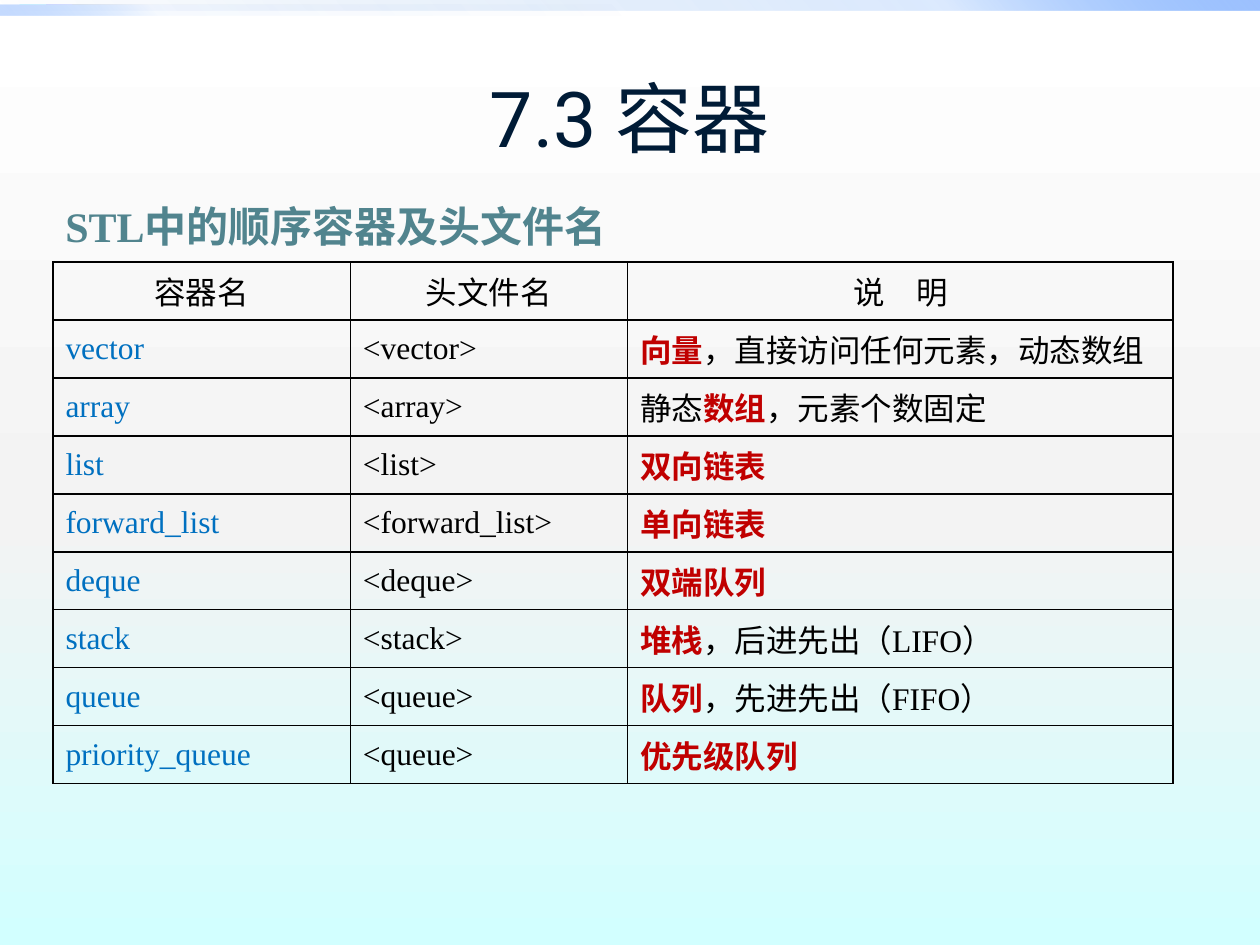
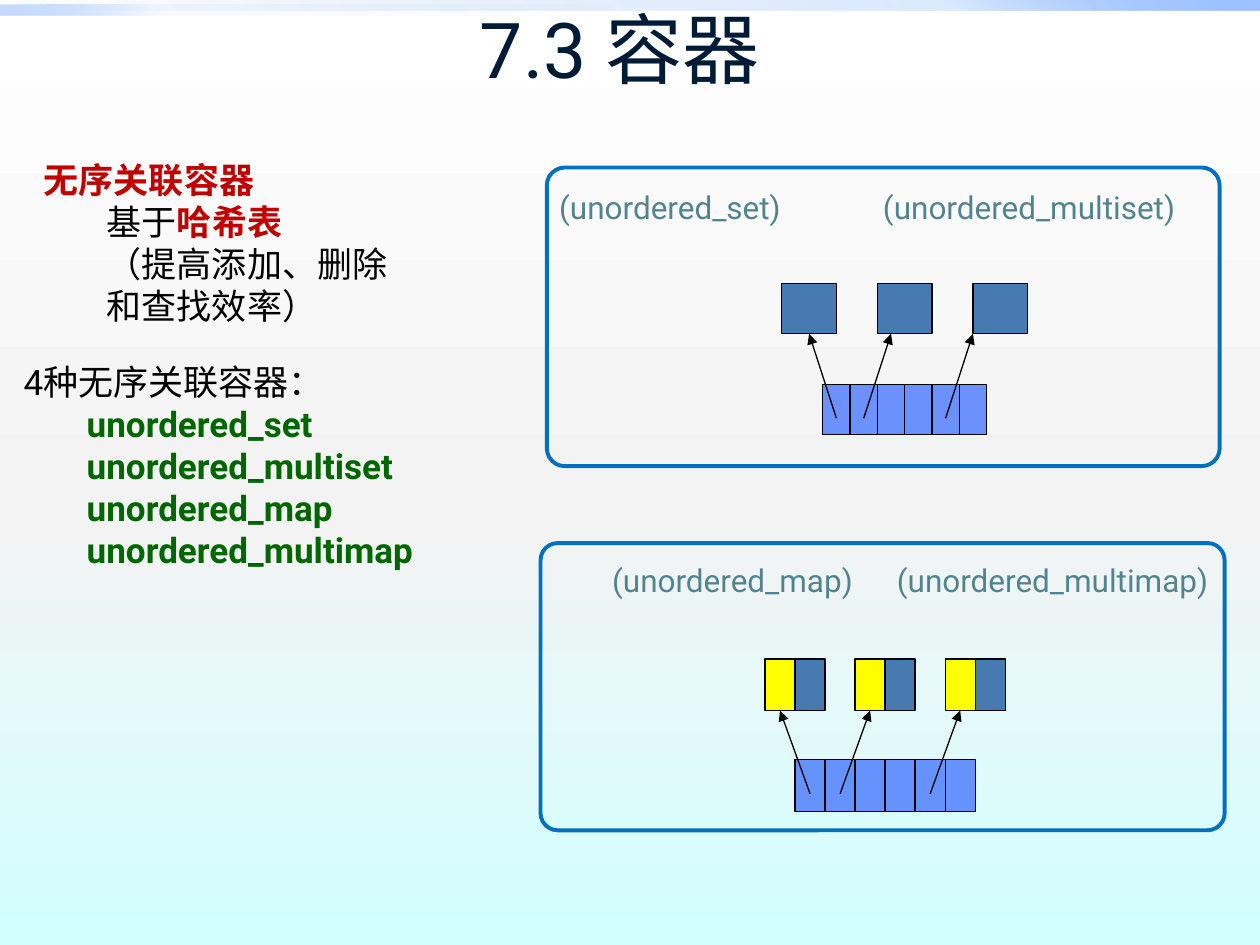
from lxml import etree
from pptx import Presentation
from pptx.dml.color import RGBColor
from pptx.enum import shapes, text
from pptx.oxml.ns import qn
from pptx.util import Inches, Pt

ROBOTO, TIMES = "Roboto", "Times New Roman"
BLACK, NAVY, TEAL = "000000", "001B36", "51848E"
RED, GREEN, BLUE = "C00000", "006600", "0070C0"
BUCKET, VALUE, KEY = "3366FF", "477AB1", "FFFF00"

# Gradient stops: position, colour, opacity in percent
BACKGROUND = [(0, "FFFFFF", 100), (55, "F3F3F3", 100), (100, "D2FFFF", 100)]
TOP_BAND = [(0, "0058B7", 0), (75, "4F95FF", 20), (100, "9EC2FF", 100)]
LEFT_BAND = [(0, "0058B7", 0), (75, "4F95FF", 5), (100, "9EC2FF", 60)]

CONTAINERS = [
    ("vector", "<vector>", [("向量", RED, True), ("，直接访问任何元素，动态数组", BLACK, False)]),
    ("array", "<array>", [("静态", BLACK, False), ("数组", RED, True),
                          ("，元素个数固定", BLACK, False)]),
    ("list", "<list>", [("双向链表", RED, True)]),
    ("forward_list", "<forward_list>", [("单向链表", RED, True)]),
    ("deque", "<deque>", [("双端队列", RED, True)]),
    ("stack", "<stack>", [("堆栈", RED, True), ("，后进先出（LIFO）", BLACK, False)]),
    ("queue", "<queue>", [("队列", RED, True), ("，先进先出（FIFO）", BLACK, False)]),
    ("priority_queue", "<queue>", [("优先级队列", RED, True)]),
]


def rgb(color):
    return RGBColor.from_string(color)


def sub(parent, tag, **attrs):
    return etree.SubElement(parent, qn(tag), **attrs)


def set_alpha(color_element, percent):
    if percent < 100:
        sub(color_element, "a:alpha", val=str(percent * 1000))


def set_gradient(fill, owner, stops, angle):
    """Fill with stops running clockwise at the given angle."""
    fill.gradient()
    fill.gradient_angle = 360 - angle
    stop_list = owner.find(".//" + qn("a:gsLst"))
    for old in list(stop_list):
        stop_list.remove(old)
    for position, color, alpha in stops:
        stop = sub(stop_list, "a:gs", pos=str(position * 1000))
        set_alpha(sub(stop, "a:srgbClr", val=color), alpha)


def add_runs(p, runs, size, font):
    for words, color, bold in runs:
        r = p.add_run()
        r.text = words
        r.font.size, r.font.name, r.font.bold = Pt(size), font, bold
        r.font.color.rgb = rgb(color)


def add_text(s, box, paragraphs, size, font=ROBOTO, align=None,
             anchor=text.MSO_ANCHOR.TOP, bottom=0.05, indent=0):
    """Add a text box; every paragraph after the first takes the indent."""
    tf = s.shapes.add_textbox(*map(Inches, box)).text_frame
    tf.word_wrap = True
    tf.vertical_anchor = anchor
    tf.margin_bottom = Inches(bottom)
    for i, runs in enumerate(paragraphs):
        p = tf.add_paragraph() if i else tf.paragraphs[0]
        if i and indent:
            p._p.get_or_add_pPr().set("marL", str(Inches(indent)))
        if align is not None:
            p.alignment = align
        add_runs(p, runs, size, font)


def add_box(s, box, fill=None, alpha=100, line=BLACK, width=0.75,
            kind=shapes.MSO_SHAPE.RECTANGLE):
    sp = s.shapes.add_shape(kind, *map(Inches, box))
    sp.shadow.inherit = False
    if fill:
        sp.fill.solid()
        sp.fill.fore_color.rgb = rgb(fill)
        set_alpha(sp.fill._xPr.find(".//" + qn("a:srgbClr")), alpha)
    else:
        sp.fill.background()
    if line:
        sp.line.color.rgb = rgb(line)
        sp.line.width = Pt(width)
    else:
        sp.line.fill.background()
    return sp


def add_arrow(s, x1, y1, x2, y2):
    cx = s.shapes.add_connector(shapes.MSO_CONNECTOR.STRAIGHT,
                                *map(Inches, (x1, y1, x2, y2)))
    cx.line.color.rgb = rgb(BLACK)
    cx.line.width = Pt(0.75)
    sub(cx.line._get_or_add_ln(), "a:tailEnd", type="triangle")
    sub(cx._element.spPr, "a:effectLst")


def add_slide(prs, title_box):
    """Shared frame: background, top bands and title."""
    s = prs.slides.add_slide(prs.slide_layouts[6])
    set_gradient(s.background.fill, s.element, BACKGROUND, 90)
    for box, stops, angle in (((0, 0, 10, 0.08), TOP_BAND, 315),
                              ((0, 0.04, 5, 0.08), LEFT_BAND, 135)):
        band = add_box(s, box, line=None)
        set_gradient(band.fill, band._element, stops, angle)
    add_text(s, title_box, [[("7.3 容器", NAVY, False)]], 44,
             align=text.PP_ALIGN.CENTER, anchor=text.MSO_ANCHOR.MIDDLE)
    return s


def add_container_table(s, left, top, widths, row_height):
    header = [[(name, BLACK, False)] for name in ("容器名", "头文件名", "说\u3000明")]
    rows = [header] + [[[(name, BLUE, False)], [(include, BLACK, False)], note]
                       for name, include, note in CONTAINERS]
    table = s.shapes.add_table(
        len(rows), len(widths), Inches(left), Inches(top),
        Inches(sum(widths)), Inches(row_height * len(rows))).table
    table.first_row = table.horz_banding = False
    for column, width in zip(table.columns, widths):
        column.width = Inches(width)
    for i, row in enumerate(rows):
        for j, runs in enumerate(row):
            cell = table.cell(i, j)
            for side in ("a:lnL", "a:lnR", "a:lnT", "a:lnB"):
                ln = sub(cell._tc.get_or_add_tcPr(), side, w=str(Pt(1)))
                sub(sub(ln, "a:solidFill"), "a:srgbClr", val=BLACK)
            cell.fill.background()
            cell.vertical_anchor = text.MSO_ANCHOR.MIDDLE
            p = cell.text_frame.paragraphs[0]
            if i == 0:
                p.alignment = text.PP_ALIGN.CENTER
            add_runs(p, runs, 18, TIMES)


def add_hash_panel(s, box, labels, strip_x, cell_w, cell_h, node_parts, node_gap):
    """Hash table panel: a strip of six buckets pointing to three nodes."""
    left, top = box[:2]
    frame = add_box(s, box, line=BLUE, width=2.25,
                    kind=shapes.MSO_SHAPE.ROUNDED_RECTANGLE)
    frame.adjustments[0] = 0.06
    for words, dx, dy, width in labels:
        add_text(s, (left + dx, top + dy, width, 0.4), [[(words, TEAL, False)]], 18)

    # Buckets
    strip_left, strip_top, node_top = left + strip_x, top + 1.72, top + 0.92
    for i in range(6):
        add_box(s, (strip_left + i * cell_w, strip_top, cell_w, cell_h), BUCKET, 70)

    # Nodes, two buckets wide and centred over the strip
    pitch = (2 + node_gap) * cell_w
    node_left = strip_left + 2 * cell_w - pitch
    part_w = 2 * cell_w / len(node_parts)
    for i in range(3):
        for j, color in enumerate(node_parts):
            add_box(s, (node_left + i * pitch + j * part_w, node_top, part_w, cell_h),
                    color)

    # Arrows lean one bucket to the side
    for bucket, lean in ((0, -1), (1, 1), (4, 1)):
        x = strip_left + (bucket + 0.5) * cell_w
        add_arrow(s, x, strip_top + 0.27, x + lean * cell_w, node_top + cell_h)


def sequence_slide(prs):
    s = add_slide(prs, (0.5, 0.3, 9, 1.25))
    add_container_table(s, 0.42, 2.08, (2.36, 2.2, 4.33), 0.46)
    add_text(s, (0.42, 1.3, 9.14, 0.79), [[("STL中的顺序容器及头文件名", TEAL, True)]], 24,
             TIMES, anchor=text.MSO_ANCHOR.BOTTOM, bottom=0.1)


def unordered_slide(prs):
    s = add_slide(prs, (0.42, -0.25, 9, 1.25))
    add_hash_panel(s, (4.29, 4.31, 5.43, 2.28),
                   [("(unordered_map)", 0.47, 0.09, 2.38),
                    ("(unordered_multimap)", 2.73, 0.09, 2.9)],
                   2.02, 1.43 / 6, 0.41, (KEY, VALUE), 1)
    add_hash_panel(s, (4.34, 1.33, 5.34, 2.37),
                   [("(unordered_set)", 0, 0.11, 2.5),
                    ("(unordered_multiset)", 2.57, 0.11, 2.77)],
                   2.19, 1.3 / 6, 0.4, (VALUE,), 1.5)
    add_text(s, (0.25, 1.21, 3.17, 1.45),
             [[("无序关联容器", RED, True)],
              [("基于", BLACK, False), ("哈希表", RED, True)],
              [("（提高添加、删除", BLACK, False)],
              [("和查找效率）", BLACK, False)]], 20, indent=0.5)
    kinds = ("set", "multiset", "map", "multimap")
    add_text(s, (0.09, 2.81, 4.24, 1.78),
             [[("4种无序关联容器：", BLACK, False)]]
             + [[("unordered_" + kind, GREEN, True)] for kind in kinds],
             20, indent=0.5)


def main():
    prs = Presentation()
    prs.slide_width, prs.slide_height = Inches(10), Inches(7.5)
    sequence_slide(prs)
    unordered_slide(prs)
    prs.save("out.pptx")


if __name__ == "__main__":
    main()
